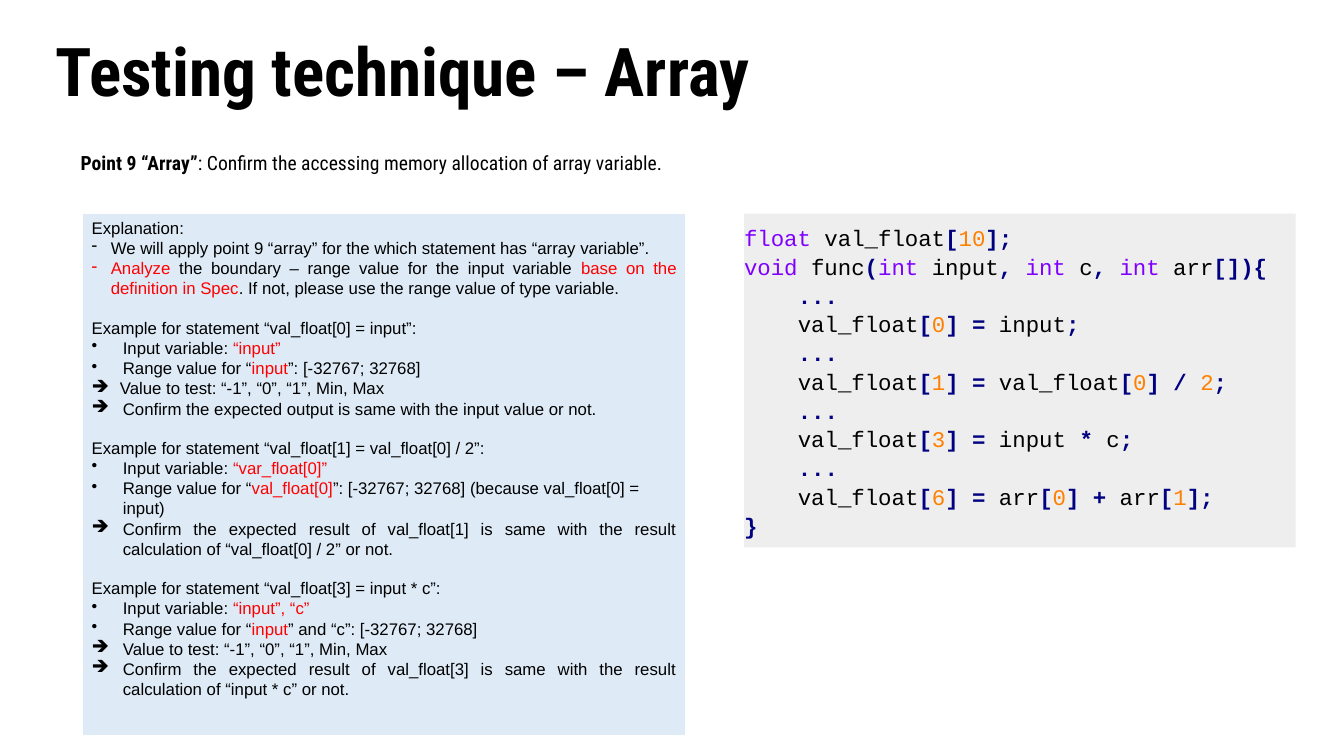
from dataclasses import dataclass
from itertools import groupby

import pptx
import pptx.util
import pptx.dml.color
import pptx.enum.shapes
import pptx.enum.text
import pptx.oxml.ns
from lxml import etree

COLORS = {
    "black": "000000", "white": "FFFFFF", "red": "FF0000", "panel": "DEEBF7",
    "listing": "EEEEEE", "keyword": "8000FF", "symbol": "000080", "number": "FF8000",
}
HEADING_FONT, BODY_FONT, CODE_FONT = "Roboto Condensed", "Arial", "Courier New"
BODY_SIZE, CODE_SIZE = 12, 16
BODY_LINE = 1.15 * BODY_SIZE
CODE_INDENT = 4 * 0.6 * CODE_SIZE / 72
KEYWORDS = {"float", "void", "int"}
JUSTIFY = pptx.enum.text.PP_ALIGN.JUSTIFY
LEFT = pptx.enum.text.PP_ALIGN.LEFT
TOP = pptx.enum.text.MSO_ANCHOR.TOP
MIDDLE = pptx.enum.text.MSO_ANCHOR.MIDDLE


@dataclass(frozen=True)
class Area:
    """A place on the slide, in percent of its width and height."""
    left: float
    top: float
    width: float
    height: float


@dataclass(frozen=True)
class Line:
    """One paragraph of the explanation; bars enclose its red parts."""
    text: str
    bullet: str = ""
    hang: float = 0.0
    align: int = JUSTIFY
    gap: float = 0.0


def heading(text: str, gap: float = BODY_LINE) -> Line:
    """A plain line that opens a block."""
    return Line(text, gap=gap)


def dash(text: str) -> Line:
    """A rule of the technique."""
    return Line(text, "-", 0.19)


def point(text: str) -> Line:
    """A fact about the tested variable."""
    return Line(text, "•", 0.31, LEFT)


def arrow(text: str, hang: float = 0.31) -> Line:
    """A step of the test."""
    return Line(text, "➔", hang)


TITLE_AREA = Area(3.6, 3.73, 92.8, 12.27)
POINT_AREA = Area(3.6, 18.93, 92.8, 6)
EXPLANATION_AREA = Area(6.08, 28.13, 45.01, 69.33)
LISTING_AREA = Area(55.36, 28.27, 41.04, 44.13)

EXPLANATION = [
    heading("Explanation:", gap=0),
    dash("We will apply point 9 “array” for the which statement has “array variable”."),
    dash("|Analyze| the boundary – range value for the input variable "
         "|base on the definition in Spec|. If not, please use the range value of type variable."),
    heading("Example for statement “val_float[0] = input”:"),
    point("Input variable: |“input”|"),
    point("Range value for “|input|”: [-32767; 32768]"),
    arrow("Value to test: “-1”, “0”, “1”, Min, Max", 0.28),
    arrow("Confirm the expected output is same with the input value or not."),
    heading("Example for statement “val_float[1] = val_float[0] / 2”:"),
    point("Input variable: |“var_float[0]”|"),
    point("Range value for “|val_float[0]|”: [-32767; 32768] (because val_float[0] = input)"),
    arrow("Confirm the expected result of val_float[1] is same with the result "
          "calculation of “val_float[0] / 2” or not."),
    heading("Example for statement “val_float[3] = input * c”:"),
    point("Input variable: |“input”, “c”|"),
    point("Range value for “|input|” and “c”: [-32767; 32768]"),
    arrow("Value to test: “-1”, “0”, “1”, Min, Max"),
    arrow("Confirm the expected result of val_float[3] is same with the result "
          "calculation of “input * c” or not."),
]

STATEMENTS = ["val_float[0] = input;", "val_float[1] = val_float[0] / 2;",
              "val_float[3] = input * c;", "val_float[6] = arr[0] + arr[1];"]
FUNCTION_BODY = [row for statement in STATEMENTS for row in ("...", statement)]

deck = pptx.Presentation()
deck.slide_width, deck.slide_height = pptx.util.Inches(13.33), pptx.util.Inches(7.5)
slide = deck.slides.add_slide(deck.slide_layouts[5])


def rgb(color: str) -> pptx.dml.color.RGBColor:
    """Look up a named colour."""
    return pptx.dml.color.RGBColor.from_string(COLORS[color])


def bounds(area: Area) -> tuple[int, ...]:
    """Turn an area into left, top, width and height."""
    wide, high = deck.slide_width, deck.slide_height
    return tuple(int(share * full / 100) for share, full in
                 ((area.left, wide), (area.top, high), (area.width, wide), (area.height, high)))


def set_frame(frame, anchor, side: float, edge: float) -> None:
    """Set wrapping, anchor and margins (inches) of a text frame."""
    frame.word_wrap, frame.vertical_anchor = True, anchor
    frame.auto_size = pptx.enum.text.MSO_AUTO_SIZE.NONE
    frame.margin_left = frame.margin_right = pptx.util.Inches(side)
    frame.margin_top = frame.margin_bottom = pptx.util.Inches(edge)


def write(paragraph, text: str, *, font: str, size: float,
          color: str = "black", bold: bool = False) -> None:
    """Add one formatted run to a paragraph."""
    run = paragraph.add_run()
    run.text = text
    run.font.name, run.font.size, run.font.bold = font, pptx.util.Pt(size), bold
    run.font.color.rgb = rgb(color)


def set_paragraph(paragraph, *, align=LEFT, spacing: float = 1.0, gap: float = 0.0,
                  indent: float = 0.0, hang: float = 0.0, bullet: str = "") -> None:
    """Set alignment, spacing (lines, points), indents (inches) and bullet."""
    paragraph.alignment, paragraph.line_spacing = align, spacing
    paragraph.space_before, paragraph.space_after = pptx.util.Pt(gap), pptx.util.Pt(0)
    properties = paragraph._p.get_or_add_pPr()
    properties.set("marL", str(pptx.util.Inches(indent)))
    properties.set("indent", str(pptx.util.Inches(-hang)))
    if bullet:
        mark = etree.SubElement(properties, pptx.oxml.ns.qn("a:buChar"))
        mark.set("char", bullet)


def add_panel(area: Area, fill: str):
    """Draw a filled rectangle without outline."""
    panel = slide.shapes.add_shape(pptx.enum.shapes.MSO_SHAPE.RECTANGLE, *bounds(area))
    panel.shadow.inherit = False
    panel.fill.solid()
    panel.fill.fore_color.rgb = rgb(fill)
    panel.line.fill.background()
    return panel


def paragraphs(frame, count: int) -> list:
    """Give a text frame the wanted number of paragraphs."""
    return [frame.paragraphs[0]] + [frame.add_paragraph() for _ in range(count - 1)]


def char_kind(char: str) -> str:
    """Sort a character of code into word, space or symbol."""
    return "space" if char == " " else "word" if char.isalnum() or char == "_" else "symbol"


def write_code(paragraph, code: str) -> None:
    """Write a row of code with its syntax colours."""
    for kind, chars in groupby(code, char_kind):
        token = "".join(chars)
        color = ("symbol" if kind == "symbol" else "keyword" if token in KEYWORDS
                 else "number" if token.isdigit() else "black")
        write(paragraph, token, font=CODE_FONT, size=CODE_SIZE, color=color,
              bold=kind == "symbol")


title = slide.shapes.title
title.left, title.top, title.width, title.height = bounds(TITLE_AREA)
set_frame(title.text_frame, MIDDLE, 0.07, 0.04)
set_paragraph(title.text_frame.paragraphs[0], spacing=0.9)
write(title.text_frame.paragraphs[0], "Testing technique – Array",
      font=HEADING_FONT, size=48, bold=True)

summary = slide.shapes.add_textbox(*bounds(POINT_AREA)).text_frame
set_frame(summary, TOP, 0.07, 0.04)
set_paragraph(summary.paragraphs[0], spacing=1.14, indent=0.25)
write(summary.paragraphs[0], "Point 9 “Array”", font=HEADING_FONT, size=14, bold=True)
write(summary.paragraphs[0], ": Confirm the accessing memory allocation of array variable.",
      font=HEADING_FONT, size=14)

explanation = add_panel(EXPLANATION_AREA, "panel")
explanation.line.color.rgb, explanation.line.width = rgb("white"), pptx.util.Pt(2)
set_frame(explanation.text_frame, TOP, 0.1, 0.05)
for paragraph, line in zip(paragraphs(explanation.text_frame, len(EXPLANATION)), EXPLANATION):
    set_paragraph(paragraph, align=line.align, gap=line.gap, indent=line.hang,
                  hang=line.hang, bullet=line.bullet)
    for position, part in enumerate(line.text.split("|")):
        if part:
            write(paragraph, part, font=BODY_FONT, size=BODY_SIZE,
                  color="red" if position % 2 else "black")

listing = add_panel(LISTING_AREA, "listing").text_frame
set_frame(listing, MIDDLE, 0, 0.07)
rows = [("float val_float[10];", 0.0), ("void func(int input, int c, int arr[]){", 0.0),
        *((row, CODE_INDENT) for row in FUNCTION_BODY), ("}", 0.0)]
for paragraph, (code, indent) in zip(paragraphs(listing, len(rows)), rows):
    set_paragraph(paragraph, spacing=1.07, indent=indent)
    write_code(paragraph, code)

deck.save("out.pptx")
